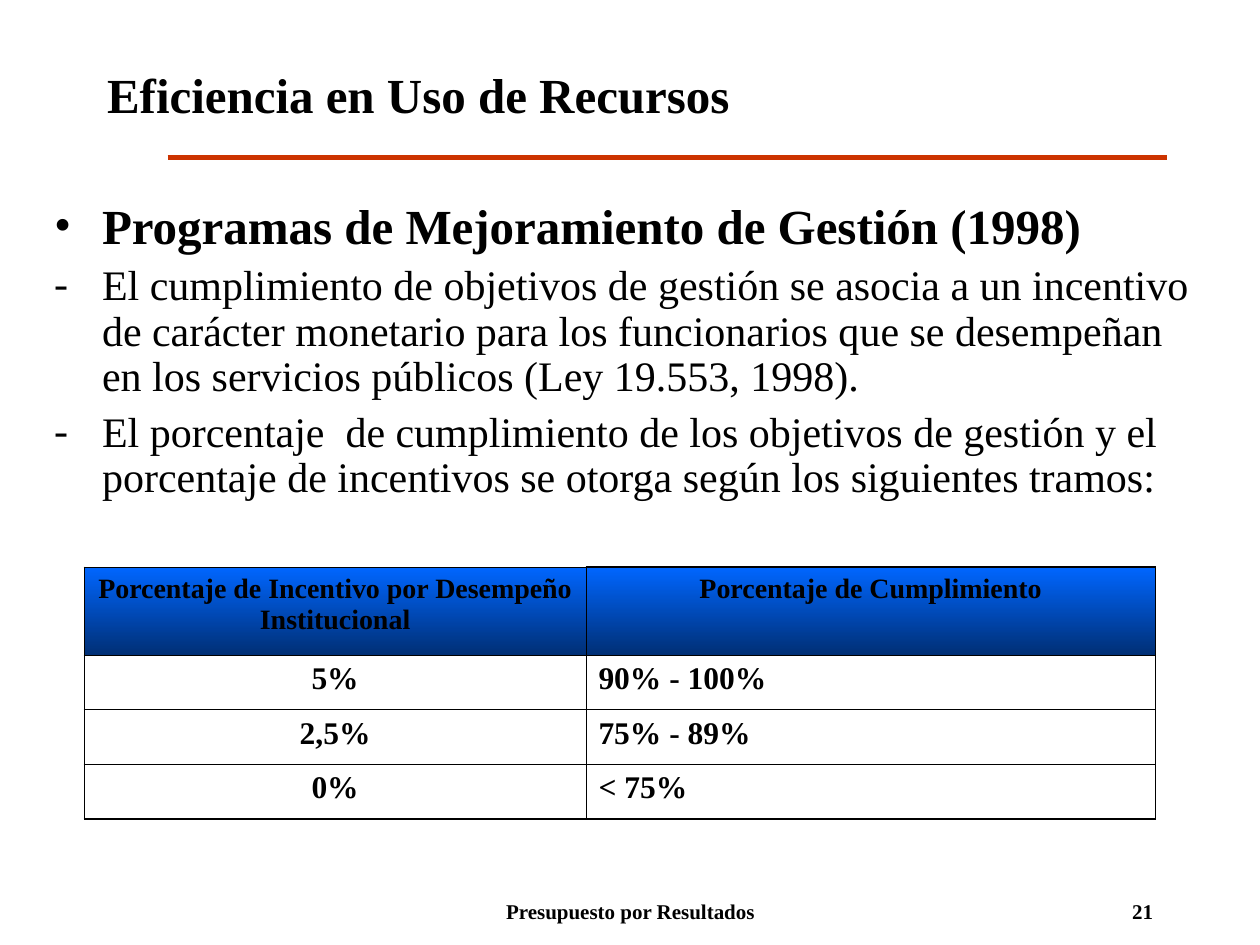
from lxml import etree
from pptx import Presentation
from pptx.dml.color import RGBColor
from pptx.enum.shapes import MSO_CONNECTOR
from pptx.enum.text import MSO_ANCHOR, MSO_AUTO_SIZE, PP_ALIGN
from pptx.oxml.ns import qn
from pptx.util import Inches, Pt

LEFT, MID, RIGHT = PP_ALIGN.LEFT, PP_ALIGN.CENTER, PP_ALIGN.RIGHT
TOP, CENTER = MSO_ANCHOR.TOP, MSO_ANCHOR.MIDDLE
FIXED = MSO_AUTO_SIZE.NONE
LINE = MSO_CONNECTOR.STRAIGHT
FONT = "Times New Roman"
COLORS = {"ink": "000000", "rule": "CC3300", "blue": "0066FF", "navy": "002F75"}


def color(name):
    return RGBColor.from_string(COLORS[name])


class Deck:
    def __init__(self):
        self.prs = Presentation()
        self.prs.slide_width, self.prs.slide_height = Inches(10), Inches(7.5)
        self.slide = self.prs.slides.add_slide(self.prs.slide_layouts[1])

    def place(self, shape, box, anchor):
        shape.left, shape.top, shape.width, shape.height = map(Inches, box)
        frame = shape.text_frame
        frame.word_wrap, frame.auto_size = True, FIXED
        frame.vertical_anchor = anchor
        return frame

    def add_text(self, para, text, size, bold=True, align=LEFT):
        para.alignment = align
        run = para.add_run()
        run.text = text
        font = run.font
        font.name, font.size, font.bold = FONT, Pt(size), bold
        font.color.rgb = color("ink")

    def title(self, text, box):
        frame = self.place(self.slide.shapes.title, box, CENTER)
        self.add_text(frame.paragraphs[0], text, 28)

    def body(self, items, box):
        frame = self.place(self.slide.placeholders[1], box, TOP)
        for i, (mark, text, size, bold, pitch) in enumerate(items):
            para = frame.add_paragraph() if i else frame.paragraphs[0]
            props = para._p.get_or_add_pPr()
            props.set("marL", str(Inches(0.38)))
            props.set("indent", str(Inches(-0.38)))
            etree.SubElement(props, qn("a:buFont")).set("typeface", FONT)
            etree.SubElement(props, qn("a:buChar")).set("char", mark)
            para.line_spacing = pitch
            para.space_before = Pt(6 if i else 0)
            self.add_text(para, text, size, bold)

    def label(self, text, box, align):
        shape = self.slide.shapes.add_textbox(*map(Inches, box))
        frame = self.place(shape, box, TOP)
        self.add_text(frame.paragraphs[0], text, 12, align=align)

    def rule(self, left, right, top):
        ends = map(Inches, (left, top, right, top))
        line = self.slide.shapes.add_connector(LINE, *ends)
        line.line.color.rgb = color("rule")
        line.line.width = Pt(3)
        etree.SubElement(line._element.spPr, qn("a:effectLst"))

    def border(self, cell, widths):
        props = cell._tc.get_or_add_tcPr()
        for i, (side, width) in enumerate(widths.items()):
            edge = etree.Element(qn(f"a:ln{side}"), w=str(Pt(width)))
            fill = etree.SubElement(edge, qn("a:solidFill"))
            etree.SubElement(fill, qn("a:srgbClr")).set("val", COLORS["ink"])
            props.insert(i, edge)

    def shade(self, cell):
        cell.fill.gradient()
        cell.fill.gradient_angle = 270
        for stop, name, spot in zip(cell.fill.gradient_stops, ("blue", "navy"), (0, 1)):
            stop.color.rgb, stop.position = color(name), spot

    def table(self, rows, box, widths, head):
        count = len(rows)
        height = box[3]
        frame = self.slide.shapes.add_table(count, len(widths), *map(Inches, box))
        grid = frame.table
        grid.first_row = grid.horz_banding = False
        for col, wide in zip(grid.columns, widths):
            col.width = Inches(wide)
        for r, row in enumerate(rows):
            grid.rows[r].height = Inches((height - head) / (count - 1) if r else head)
            for c, text in enumerate(row):
                cell = grid.cell(r, c)
                align = LEFT if r and c else MID
                self.add_text(cell.text_frame.paragraphs[0], text, 18 if r else 16, align=align)
                if r:
                    cell.fill.background()
                else:
                    self.shade(cell)
                outer = {"L": c == 0, "R": c == len(row) - 1,
                         "T": r == 0 and c > 0, "B": r == count - 1}
                self.border(cell, {s: 1.08 if o else 0.45 for s, o in outer.items()})


def main():
    deck = Deck()
    deck.title("Eficiencia en Uso de Recursos", (0.75, 0.33, 8.5, 0.83))
    deck.body([
        ("•", "Programas de Mejoramiento de Gestión (1998)", 28, True, 1.0),
        ("-", "El cumplimiento de objetivos de gestión se asocia a un incentivo "
              "de carácter monetario para los funcionarios que se desempeñan "
              "en los servicios públicos (Ley 19.553, 1998).", 24, False, 0.9),
        ("-", "El porcentaje  de cumplimiento de los objetivos de gestión y el "
              "porcentaje de incentivos se otorga según los siguientes tramos:", 24, False, 0.9),
    ], (0.33, 1.5, 9.25, 5.33))
    deck.table([
        ("Porcentaje de Incentivo por Desempeño Institucional", "Porcentaje de Cumplimiento"),
        ("5%", "90% - 100%"),
        ("2,5%", "75% - 89%"),
        ("0%", "< 75%"),
    ], (0.67, 4.5, 8.5, 2), (3.98, 4.52), 0.7)
    deck.rule(1.33, 9.26, 1.25)
    deck.label("Presupuesto por Resultados", (3.42, 7.08, 3.17, 0.25), MID)
    deck.label("21", (7.17, 7.08, 2.08, 0.25), RIGHT)
    deck.prs.save("out.pptx")


if __name__ == "__main__":
    main()
